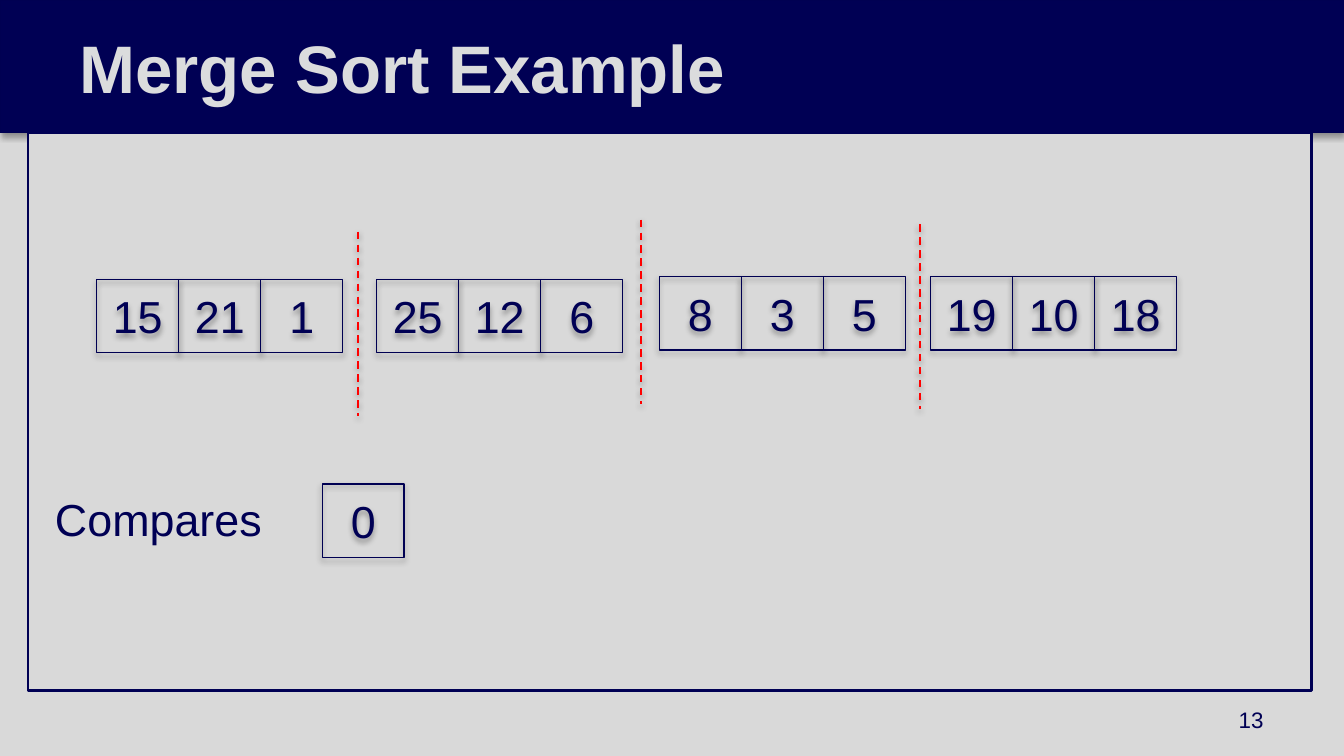
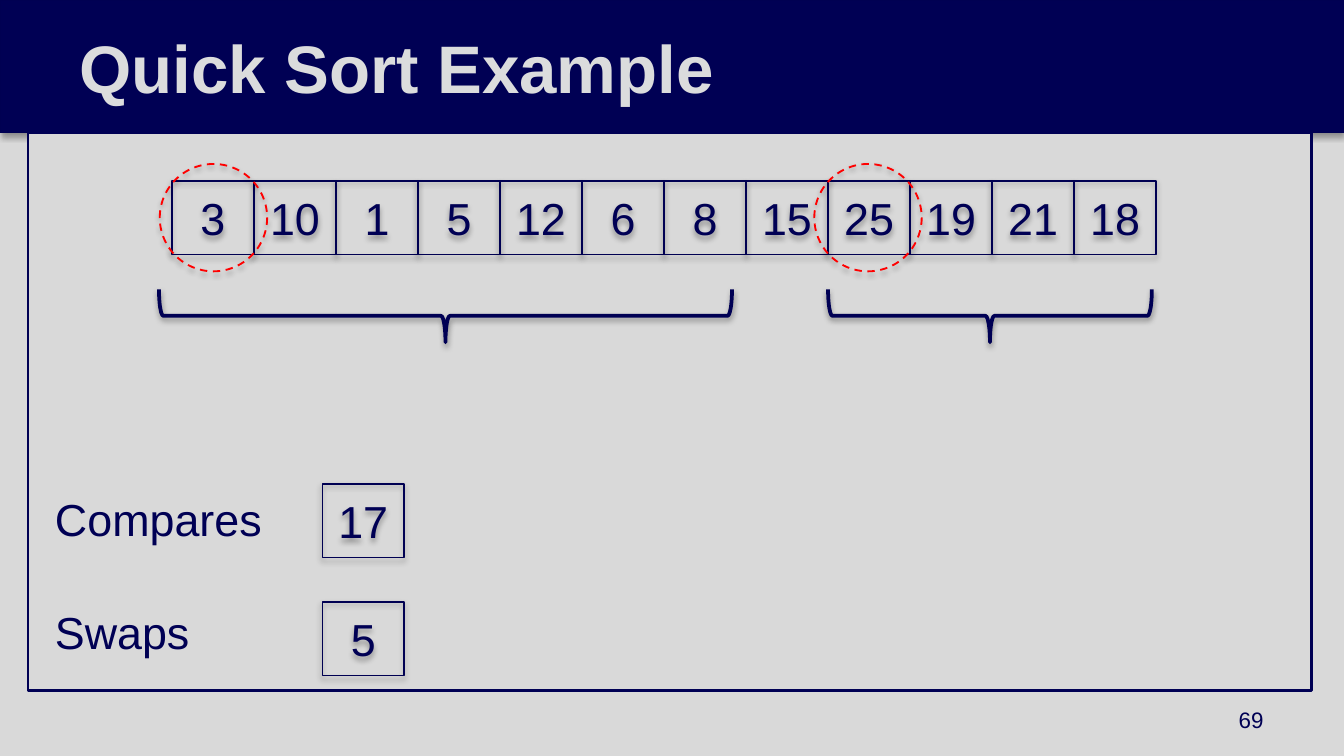
from lxml import etree
from pptx import Presentation
from pptx.dml.color import RGBColor
from pptx.enum.dml import MSO_LINE
from pptx.enum.shapes import MSO_CONNECTOR, MSO_SHAPE
from pptx.enum.text import MSO_ANCHOR, PP_ALIGN
from pptx.oxml.ns import qn
from pptx.util import Cm, Pt

NAVY = RGBColor(0x00, 0x00, 0x54)
EDGE = RGBColor(0x00, 0x00, 0x52)
GREY = RGBColor(0xD9, 0xD9, 0xD9)
PALE = RGBColor(0xDB, 0xDC, 0xDD)
RED = RGBColor(0xFF, 0x00, 0x00)
RECT, OVAL, BRACE = MSO_SHAPE.RECTANGLE, MSO_SHAPE.OVAL, MSO_SHAPE.LEFT_BRACE
DASH, STRAIGHT = MSO_LINE.DASH, MSO_CONNECTOR.STRAIGHT
MIDDLE = MSO_ANCHOR.MIDDLE
LEFT, CENTER, RIGHT = PP_ALIGN.LEFT, PP_ALIGN.CENTER, PP_ALIGN.RIGHT
CELL_W, CELL_H = 1.55, 1.39


def style(sp, color, width, dash=None, alpha=35, dist=1.8):
    """Outline a shape or connector and give it the soft drop shadow."""
    sp.line.color.rgb = color
    sp.line.width = Pt(width)
    if dash:
        sp.line.dash_style = dash
    for old in sp._element.spPr.findall(qn("a:effectLst")):
        sp._element.spPr.remove(old)
    effects = etree.SubElement(sp._element.spPr, qn("a:effectLst"))
    shadow = etree.SubElement(effects, qn("a:outerShdw"), blurRad=str(Pt(3.1)),
                              dist=str(Pt(dist)), dir="5400000", rotWithShape="0")
    black = etree.SubElement(shadow, qn("a:srgbClr"), val="000000")
    etree.SubElement(black, qn("a:alpha"), val=str(alpha * 1000))


def write(sp, text, size, align, color=NAVY, bold=False):
    """Put one vertically centred line of text into a shape."""
    tf = sp.text_frame
    tf.word_wrap = True
    tf.vertical_anchor = MIDDLE
    p = tf.paragraphs[0]
    p.text = text
    p.alignment = align
    p.font.name = "Arial"
    p.font.size = Pt(size)
    p.font.bold = bold
    p.font.color.rgb = color


# Each array is (left, top, values), each counter (label, label top, box top, value)
slides = [
    {"title": "Merge Sort Example", "number": "13",
     "arrays": [(1.83, 5.28, [15, 21, 1]), (7.12, 5.28, [25, 12, 6]),
                (12.46, 5.23, [8, 3, 5]), (17.59, 5.23, [19, 10, 18])],
     "counters": [("Compares", 9.1, 9.15, 0)],
     "splits": [(12.11, 4.15), (6.77, 4.38), (17.38, 4.24)],
     "pivots": [], "braces": []},
    {"title": "Quick Sort Example", "number": "69",
     "arrays": [(3.25, 3.42, [3, 10, 1, 5, 12, 6, 8, 15, 25, 19, 21, 18])],
     "counters": [("Compares", 9.1, 9.15, 17), ("Swaps", 11.25, 11.38, 5)],
     "splits": [],
     "pivots": [15.39, 3.02],
     "braces": [(8.42, 10.83), (18.71, 6.12)]},
]

prs = Presentation()
prs.slide_width, prs.slide_height = Cm(25.4), Cm(14.29)

for data in slides:
    s = prs.slides.add_slide(prs.slide_layouts[6])
    s.background.fill.solid()
    s.background.fill.fore_color.rgb = GREY

    # Title band and content frame
    band = s.shapes.add_shape(RECT, 0, 0, prs.slide_width, Cm(2.51))
    band.fill.solid()
    band.fill.fore_color.rgb = NAVY
    style(band, EDGE, 0.75)
    frame = s.shapes.add_shape(RECT, Cm(0.53), Cm(2.51), Cm(24.26), Cm(10.54))
    frame.shadow.inherit = False
    frame.fill.solid()
    frame.fill.fore_color.rgb = GREY
    frame.line.color.rgb = NAVY
    frame.line.width = Pt(1.5)

    # Title and slide number
    title = s.shapes.add_textbox(0, 0, Cm(22.94), Cm(2.51))
    title.text_frame.margin_left = Cm(1.5)
    write(title, data["title"], 36, LEFT, PALE, True)
    number = s.shapes.add_textbox(Cm(18.21), Cm(13.23), Cm(5.92), Cm(0.76))
    write(number, data["number"], 12, RIGHT)

    # Counter labels
    cells = []
    for label, label_top, box_top, value in data["counters"]:
        tb = s.shapes.add_textbox(Cm(0.79), Cm(label_top), Cm(5), Cm(CELL_H))
        write(tb, label, 24, LEFT)
        cells.append((6.09, box_top, value))

    # Array cells and counter boxes
    for left, top, values in data["arrays"]:
        cells += [(left + i * CELL_W, top, v) for i, v in enumerate(values)]
    for left, top, value in cells:
        sp = s.shapes.add_shape(RECT, Cm(left), Cm(top), Cm(CELL_W), Cm(CELL_H))
        sp.fill.background()
        style(sp, EDGE, 0.75)
        write(sp, str(value), 24, CENTER)

    # Dashed split lines
    for x, top in data["splits"]:
        split = s.shapes.add_connector(STRAIGHT, Cm(x), Cm(top), Cm(x), Cm(top + 3.49))
        style(split, RED, 1, DASH, 38, 1.6)

    # Dashed circles round the pivots
    for left in data["pivots"]:
        pivot = s.shapes.add_shape(OVAL, Cm(left), Cm(3.1), Cm(2.03), Cm(2.03))
        pivot.fill.background()
        style(pivot, RED, 1, DASH)

    # Braces under the partitions, turned to point down
    for center, length in data["braces"]:
        brace = s.shapes.add_shape(BRACE, Cm(center - 0.5), Cm(5.97 - length / 2),
                                   Cm(1), Cm(length))
        brace.rotation = 270
        brace.fill.background()
        style(brace, NAVY, 2, None, 38, 1.6)

prs.save("out.pptx")
